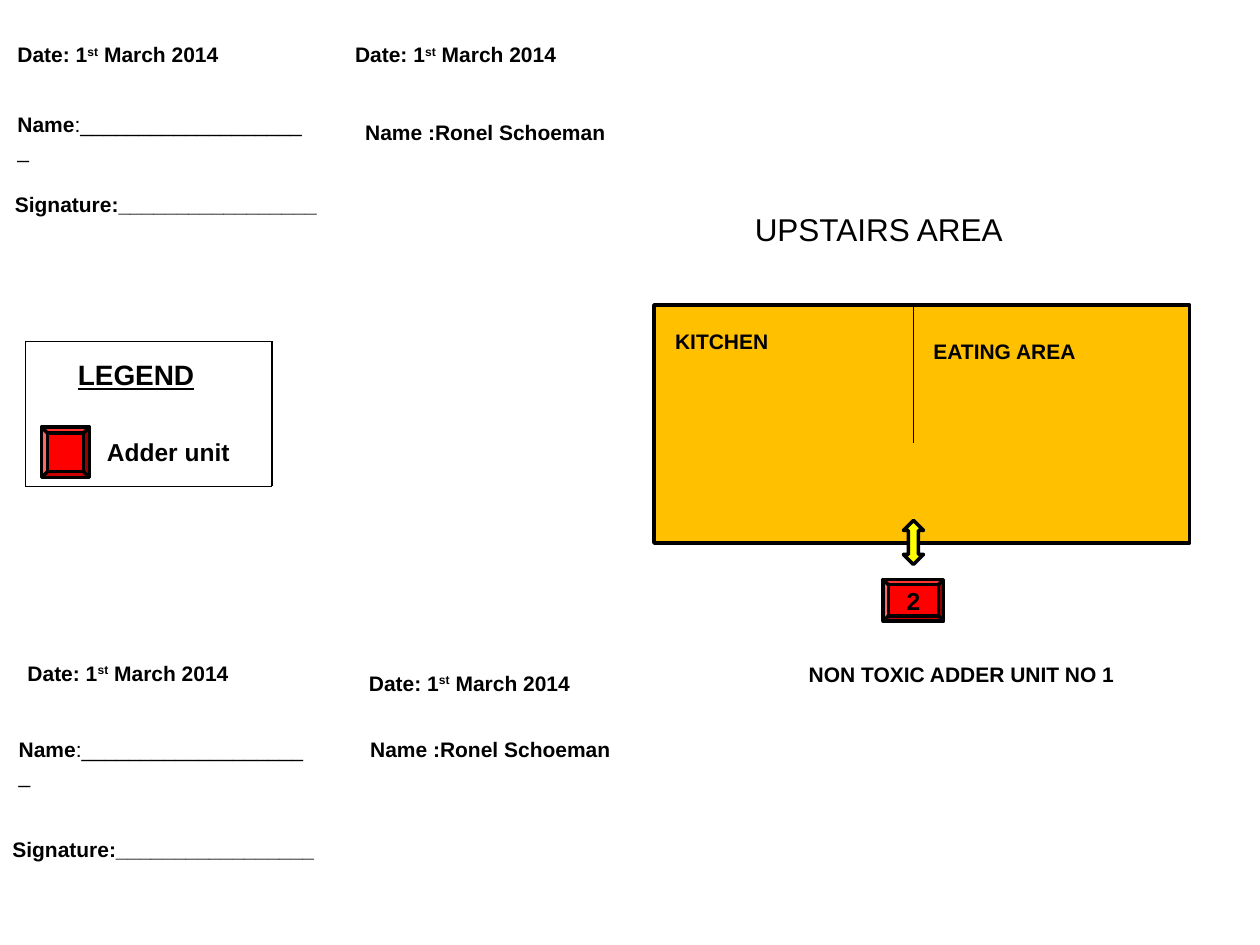
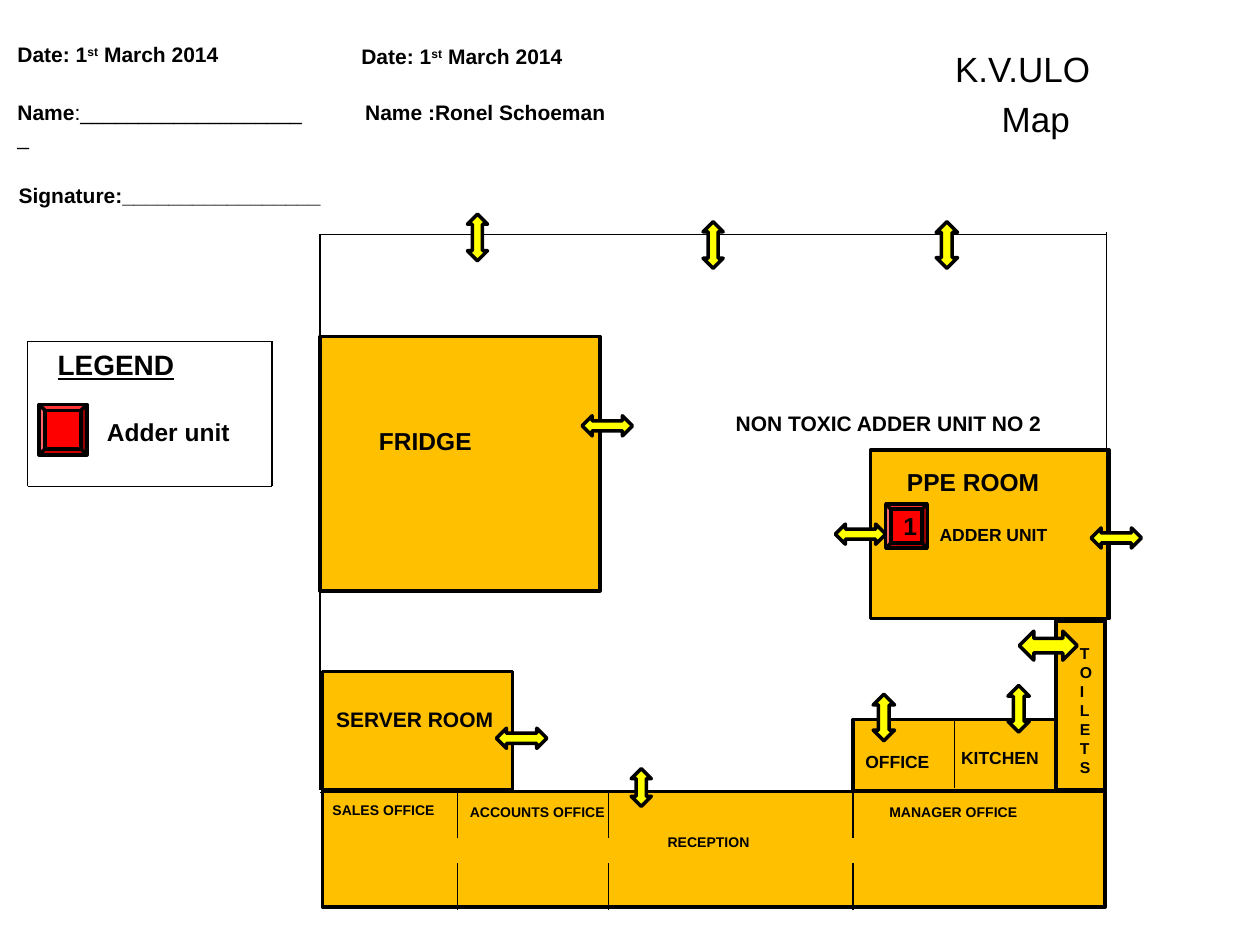
"""Build the two floor plans that show where the pest control units stand."""
from dataclasses import dataclass

from lxml.etree import SubElement
from pptx import Presentation
from pptx.dml.color import RGBColor
from pptx.enum.shapes import MSO_CONNECTOR, MSO_SHAPE
from pptx.enum.text import MSO_ANCHOR, MSO_AUTO_SIZE, PP_ALIGN
from pptx.oxml.ns import qn
from pptx.util import Inches, Pt


@dataclass(frozen=True)
class Theme:
    font: str = "Arial"
    ink: RGBColor = RGBColor(0, 0, 0)
    room: RGBColor = RGBColor(0xFF, 0xC0, 0x00)
    door: RGBColor = RGBColor(0xFF, 0xFF, 0x00)
    unit: RGBColor = RGBColor(0xFF, 0x00, 0x00)
    outline: float = 2
    wall: float = 0.75
    map_title: int = 20
    area_title: int = 18
    legend: int = 16
    large: int = 14
    body: int = 12
    small: int = 10
    narrow: int = 9
    tiny: int = 8


theme = Theme()
deck = Presentation()
deck.slide_width, deck.slide_height = Inches(10), Inches(7.5)
column, row = deck.slide_width / 100, deck.slide_height / 75


def place(left, top, width, height):
    """Turn grid columns and rows into slide lengths."""
    return [round(length * step) for length, step in
            zip((left, top, width, height), (column, row, column, row))]


def write(paragraph, text, size=theme.body, bold=True, underline=False, align=PP_ALIGN.LEFT):
    """Fill a paragraph with a string, or with (string, style) pieces."""
    paragraph.alignment = align
    pieces = [(text, "")] if isinstance(text, str) else text
    for piece, style in pieces:
        run = paragraph.add_run()
        run.text = piece
        font = run.font
        font.name, font.size, font.color.rgb = theme.font, Pt(size), theme.ink
        font.bold, font.underline = bold and style != "plain", underline
        if style == "superscript":
            run._r.get_or_add_rPr().set("baseline", "30000")


date = [("Date: 1", ""), ("st", "superscript"), (" March 2014", "")]
name_line = [("Name", ""), (":____________________", "plain")]
signature_line = "Signature:_________________"
inspector = "Name :Ronel Schoeman"

upstairs = {
    "title": ["UPSTAIRS AREA"],
    "title_at": (58.9, 16.2, 27.2, 4),
    "title_size": theme.area_title,
    "indents": [0],
    "legend_left": 2,
    "legend_heading": (5.2, 27.9),
    "legend_unit": (3.3, 33.9),
    "legend_label": (7.5, 34.2),
    "rooms": [(51.9, 24.2, 42.5, 18.9)],
    "walls": [(72.5, 24.2, 72.5, 35.2)],
    "doors": [(71.7, 41.3, 1.6, 3.5)],
    "unit": ("2", (70.1, 46, 4.8, 3.3)),
    "dates": [(0.4, 2.8), (27.2, 2.8), (1.2, 51.9), (28.3, 52.7)],
    "name_lines": [(0.4, 8.4), (0.5, 58)],
    "inspectors": [(28, 9), (28.4, 58)],
    "signatures": [(0.2, 14.7), (0, 65.9)],
    "labels": [
        ("KITCHEN", (52.6, 25.6, 19.7, 3), theme.body),
        ("EATING AREA", (73.1, 26.4, 32.3, 3), theme.body),
        ("NON TOXIC ADDER UNIT NO 1", (63.2, 52, 31.5, 3), theme.body),
    ],
}

office_block = (67.7, 57.1, 16.1, 5.7)
building_walls = [(25.4, 18.6, 87.8, 18.6), (25.4, 62.9, 87.8, 62.9),
                  (25.4, 18.6, 25.4, 62.7), (87.8, 18.4, 87.8, 62.5)]
partitions = [(x, top, x, top + 3.7) for x in (36.3, 48.3, 67.7) for top in (62.8, 68.5)]

ground = {
    "title": ["K.V.ULO", "Map"],
    "title_at": (69.3, 3.3, 29, 7.9),
    "title_size": theme.map_title,
    "indents": [5.5, 9.2],
    "legend_left": 2.2,
    "legend_heading": (3.6, 27.1),
    "legend_unit": (3.1, 32.1),
    "legend_label": (7.5, 32.6),
    "rooms": [office_block, (25.6, 53.3, 15.1, 9.4), (25.4, 26.7, 22.2, 20.2),
              (69.1, 35.7, 18.9, 13.4), (25.6, 62.8, 62.1, 9.2), (83.8, 49.3, 3.9, 13.4)],
    "walls": building_walls + partitions + [(75.75, 57.1, 75.75, 62.5)],
    "doors": [(46.2, 33, 4, 1.6), (39.4, 57.8, 4, 1.6), (66.3, 41.6, 4, 1.6),
              (86.6, 41.9, 4, 1.6), (80.9, 50.1, 4.6, 2.3),
              (69.3, 55.1, 1.7, 3.7), (80, 54.4, 1.7, 3.7), (74.3, 17.6, 1.7, 3.7),
              (55.8, 17.6, 1.6, 3.7), (37.1, 17, 1.6, 3.7), (50.1, 61, 1.6, 3)],
    "unit": ("1", (70.3, 40, 3.3, 3.5)),
    "dates": [(0.4, 2.8), (27.7, 3)],
    "name_lines": [(0.4, 7.4)],
    "inspectors": [(28, 7.4)],
    "signatures": [(0.5, 14)],
    "labels": [
        ("FRIDGE", (29.1, 33.3, 17, 3.4), theme.large),
        ("SERVER ROOM", (25.7, 55.6, 16.6, 3), theme.body),
        ("PPE ROOM", (71, 36.6, 17.3, 3.4), theme.large),
        ("OFFICE", (67.7, 59.1, 29.9, 2.7), theme.small),
        ("KITCHEN", (75.3, 58.8, 24.1, 2.7), theme.small),
        ("ADDER UNIT", (73.6, 41.1, 12.6, 2.7), theme.small),
        ("RECEPTION", (52, 65.7, 30, 2.4), theme.tiny),
        ("SALES OFFICE", (25.4, 63.1, 27.6, 2.4), theme.tiny),
        ("ACCOUNTS OFFICE", (36.3, 63.3, 34.1, 2.4), theme.tiny),
        ("MANAGER OFFICE", (69.6, 63.3, 30, 2.4), theme.tiny),
        ("TOILETS", (85.1, 50.6, 1.6, 11.6), theme.narrow),
        ("NON TOXIC ADDER UNIT NO 2", (57.4, 32.1, 31.5, 3), theme.body),
    ],
}

for plan in (upstairs, ground):
    slide = deck.slides.add_slide(deck.slide_layouts[5])
    shapes = slide.shapes

    title = shapes.title
    title.left, title.top, title.width, title.height = place(*plan["title_at"])
    heading = title.text_frame
    heading.word_wrap, heading.auto_size = True, MSO_AUTO_SIZE.NONE
    heading.vertical_anchor = MSO_ANCHOR.TOP
    for number, (line, indent) in enumerate(zip(plan["title"], plan["indents"])):
        paragraph = heading.add_paragraph() if number else heading.paragraphs[0]
        write(paragraph, line, size=plan["title_size"], bold=False)
        paragraph.space_before = Pt(4.5 * number)
        paragraph._p.get_or_add_pPr().set("marL", str(round(indent * column)))

    unit_number, unit_at = plan["unit"]
    parts = [(MSO_SHAPE.RECTANGLE, at, theme.room, "") for at in plan["rooms"]]
    parts += [(MSO_SHAPE.LEFT_RIGHT_ARROW if at[2] > at[3] else MSO_SHAPE.UP_DOWN_ARROW,
               at, theme.door, "") for at in plan["doors"]]
    parts += [(MSO_SHAPE.BEVEL, (*plan["legend_unit"], 3.8, 4), theme.unit, ""),
              (MSO_SHAPE.BEVEL, unit_at, theme.unit, unit_number)]

    left, top, right, bottom = plan["legend_left"], 27.1, 21.6, 38.6
    legend_frame = [(left, top, right, top), (left, bottom, right, bottom),
                    (left, top, left, bottom), (right, top, right, bottom)]

    drawn = []
    for kind, at, fill, text in parts:
        if len(drawn) == len(plan["rooms"]):
            for ends in plan["walls"] + legend_frame:
                wall = shapes.add_connector(MSO_CONNECTOR.STRAIGHT, *place(*ends))
                wall.line.color.rgb, wall.line.width = theme.ink, Pt(theme.wall)
                SubElement(wall._element.spPr, qn("a:effectLst"))
                for room, (x, y, width, height) in zip(drawn, plan["rooms"]):
                    if abs(ends[0] - x - width / 2) < 0.01 and abs(ends[1] - y) < 0.01:
                        wall.begin_connect(room, 0)
        part = shapes.add_shape(kind, *place(*at))
        part.shadow.inherit = False
        part.fill.solid()
        part.fill.fore_color.rgb = fill
        part.line.color.rgb, part.line.width = theme.ink, Pt(theme.outline)
        if text:
            write(part.text_frame.paragraphs[0], text, size=theme.large, align=PP_ALIGN.CENTER)
        drawn.append(part)

    captions = [(text, at, size, True, False) for text, at, size in plan["labels"]]
    captions += [("LEGEND", (*plan["legend_heading"], 24.4, 3.7), theme.legend, True, True),
                 ("Adder unit", (*plan["legend_label"], 14.2, 3.4), theme.large, True, False)]
    for text, spots, width, wrap in ((date, "dates", 23.6, True),
                                     (name_line, "name_lines", 25.5, False),
                                     (inspector, "inspectors", 30.7, True),
                                     (signature_line, "signatures", 26, False)):
        captions += [(text, (*spot, width, 3), theme.body, wrap, False) for spot in plan[spots]]

    for text, at, size, wrap, underline in captions:
        frame = shapes.add_textbox(*place(*at)).text_frame
        frame.word_wrap, frame.auto_size = wrap, MSO_AUTO_SIZE.SHAPE_TO_FIT_TEXT
        write(frame.paragraphs[0], text, size=size, underline=underline)

deck.save("out.pptx")
